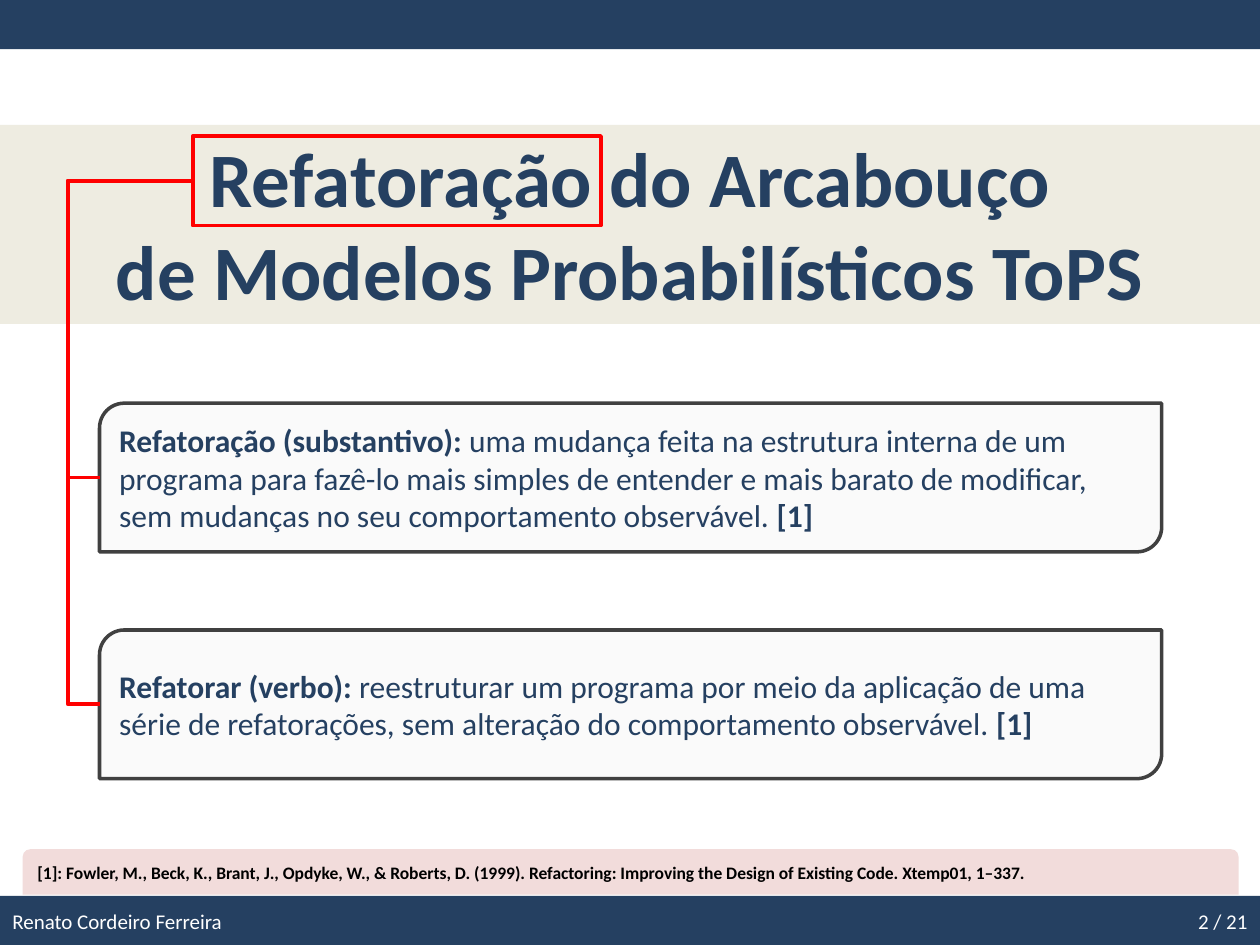
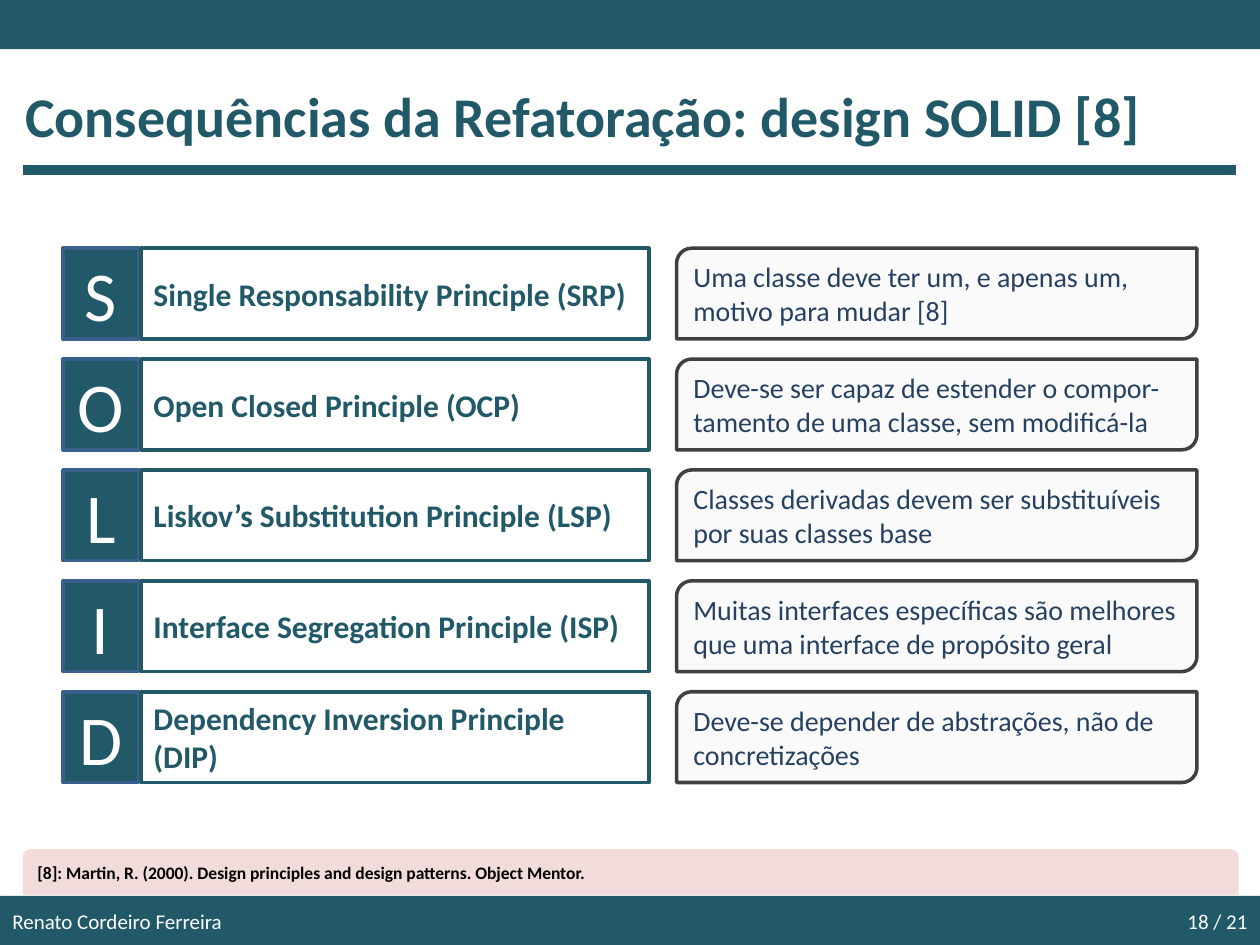
from lxml import etree
from pptx import Presentation
from pptx.dml.color import RGBColor
from pptx.enum.shapes import MSO_CONNECTOR, MSO_SHAPE
from pptx.enum.text import MSO_ANCHOR, PP_ALIGN
from pptx.oxml.ns import qn
from pptx.util import Inches, Pt

NAVY, TEAL, WHITE, RED = "254061", "215968", "FFFFFF", "FF0000"
BEIGE, PINK, BLACK = "EEECE1", "F2DCDB", "000000"
CARD, CARD_EDGE, LETTER_EDGE = "FAFAFA", "404040", "3A5F8C"
FONT = "Calibri"
AUTHOR = "Renato Cordeiro Ferreira"
TOTAL = 21
SLIDE_W, SLIDE_H, BAND_H = 10, 7.5, 0.39
BREAK = "\n"


def rgb(color):
    return RGBColor.from_string(color)


class Deck:
    """Keeps the presentation, the current slide and its theme colour."""

    def __init__(self):
        self.prs = Presentation()
        self.prs.slide_width = Inches(SLIDE_W)
        self.prs.slide_height = Inches(SLIDE_H)

    def new_slide(self, color):
        self.s = self.prs.slides.add_slide(self.prs.slide_layouts[6])
        self.color = color
        for top in (0, SLIDE_H - BAND_H):
            self.shape(0, top, SLIDE_W, BAND_H, fill=color)

    def add_runs(self, sp, runs, size, color, align=PP_ALIGN.LEFT,
                 anchor=MSO_ANCHOR.MIDDLE):
        """Fill one paragraph with (text, bold) runs; BREAK starts a new line."""
        tf = sp.text_frame
        tf.word_wrap = True
        tf.vertical_anchor = anchor
        p = tf.paragraphs[0]
        p.alignment = align
        for text, bold in runs:
            if text == BREAK:
                p.add_line_break()
                continue
            r = p.add_run()
            r.text = text
            r.font.name, r.font.size, r.font.bold = FONT, Pt(size), bold
            r.font.color.rgb = rgb(color)

    def shape(self, x, y, w, h, kind=MSO_SHAPE.RECTANGLE, fill=None,
              line=None, width=2):
        sp = self.s.shapes.add_shape(kind, Inches(x), Inches(y),
                                     Inches(w), Inches(h))
        sp.shadow.inherit = False
        if fill:
            sp.fill.solid()
            sp.fill.fore_color.rgb = rgb(fill)
        else:
            sp.fill.background()
        if line:
            sp.line.color.rgb = rgb(line)
            sp.line.width = Pt(width)
        else:
            sp.line.fill.background()
        return sp

    def text(self, x, y, w, h, runs, size, color, **style):
        sp = self.s.shapes.add_textbox(Inches(x), Inches(y),
                                       Inches(w), Inches(h))
        self.add_runs(sp, runs, size, color, **style)
        return sp

    def connector(self, kind, x1, y1, x2, y2, color, width):
        sp = self.s.shapes.add_connector(kind, Inches(x1), Inches(y1),
                                         Inches(x2), Inches(y2))
        sp.line.color.rgb = rgb(color)
        sp.line.width = Pt(width)
        etree.SubElement(sp._element.spPr, qn("a:effectLst"))
        return sp

    def elbow(self, x1, y1, x2, y2, bend_x, color, width):
        """Draw a bent connector whose vertical part lies at bend_x."""
        sp = self.connector(MSO_CONNECTOR.ELBOW, x1, y1, x2, y2, color, width)
        guides = sp._element.spPr.find(qn("a:prstGeom")).find(qn("a:avLst"))
        bend = round((bend_x - x1) / (x2 - x1) * 100000)
        etree.SubElement(guides, qn("a:gd"), name="adj1", fmla=f"val {bend}")

    def card(self, x, y, w, h, runs, size):
        sp = self.shape(x, y, w, h, MSO_SHAPE.ROUND_2_DIAG_RECTANGLE,
                        CARD, CARD_EDGE)
        self.add_runs(sp, runs, size, NAVY)

    def title(self, text):
        sp = self.text(0, 0.6, SLIDE_W, 0.64, [(text, True)], 32, self.color,
                       anchor=MSO_ANCHOR.TOP)
        sp.text_frame.margin_left = Inches(0.2)
        self.connector(MSO_CONNECTOR.STRAIGHT, 0.18, 1.35, 9.81, 1.35,
                       self.color, 6)

    def footer(self, number, reference):
        self.text(0, 7.11, 3.17, 0.4, [(AUTHOR, False)], 12, WHITE)
        self.text(7.67, 7.11, 2.33, 0.4, [(f"{number} / {TOTAL}", False)],
                  12, WHITE, align=PP_ALIGN.RIGHT)
        sp = self.shape(0.18, 6.74, 9.65, 0.36,
                        MSO_SHAPE.ROUND_2_SAME_RECTANGLE, PINK)
        self.add_runs(sp, [(reference, True)], 10, BLACK)


def refactoring_slide(deck):
    deck.new_slide(NAVY)
    banner = deck.shape(0, 0.99, SLIDE_W, 1.58, fill=BEIGE)
    deck.add_runs(banner, [("Refatoração do Arcabouço", True), (BREAK, True),
                           ("de Modelos Probabilísticos ToPS", True)],
                  44, NAVY, PP_ALIGN.CENTER, MSO_ANCHOR.TOP)
    mark_x, mark_y, mark_h = 1.53, 1.08, 0.71
    deck.shape(mark_x, mark_y, 3.24, mark_h, line=RED, width=2.25)

    definitions = [
        ("Refatoração (substantivo): ",
         "uma mudança feita na estrutura interna de um programa para fazê-lo "
         "mais simples de entender e mais barato de modificar, sem mudanças "
         "no seu comportamento observável. "),
        ("Refatorar (verbo): ",
         "reestruturar um programa por meio da aplicação de uma série de "
         "refatorações, sem alteração do comportamento observável. "),
    ]
    card_x, card_h = 0.79, 1.18
    for i, (term, meaning) in enumerate(definitions):
        y = 3.2 + 1.8 * i
        deck.card(card_x, y, 8.43, card_h,
                  [(term, True), (meaning, False), ("[1]", True)], 18)
        deck.elbow(mark_x, mark_y + mark_h / 2, card_x, y + card_h / 2,
                   0.54, RED, 2.25)
    deck.footer(2, "[1]: Fowler, M., Beck, K., Brant, J., Opdyke, W., & "
                   "Roberts, D. (1999). Refactoring: Improving the Design of "
                   "Existing Code. Xtemp01, 1–337.")


def solid_slide(deck):
    deck.new_slide(TEAL)
    deck.title("Consequências da Refatoração: design SOLID [8]")
    principles = [
        ("Single Responsability Principle (SRP)",
         "Uma classe deve ter um, e apenas um, motivo para mudar [8]"),
        ("Open Closed Principle (OCP)",
         "Deve-se ser capaz de estender o compor-tamento de uma classe, "
         "sem modificá-la"),
        ("Liskov’s Substitution Principle (LSP)",
         "Classes derivadas devem ser substituíveis por suas classes base"),
        ("Interface Segregation Principle (ISP)",
         "Muitas interfaces específicas são melhores que uma interface de "
         "propósito geral"),
        ("Dependency Inversion Principle (DIP)",
         "Deve-se depender de abstrações, não de concretizações"),
    ]
    row_h = 0.72
    for i, (name, meaning) in enumerate(principles):
        y = 1.97 + 0.88 * i
        letter = deck.shape(0.5, y, 0.6, row_h, fill=TEAL, line=LETTER_EDGE)
        deck.add_runs(letter, [(name[0], False)], 40, WHITE, PP_ALIGN.CENTER)
        label = deck.shape(1.12, y, 4.03, row_h, line=TEAL)
        deck.add_runs(label, [(name, True)], 18, TEAL)
        deck.card(5.37, y, 4.13, row_h, [(meaning, False)], 16)
    deck.footer(18, "[8]: Martin, R. (2000). Design principles and design "
                    "patterns. Object Mentor.")


def main():
    deck = Deck()
    refactoring_slide(deck)
    solid_slide(deck)
    deck.prs.save("out.pptx")


if __name__ == "__main__":
    main()
